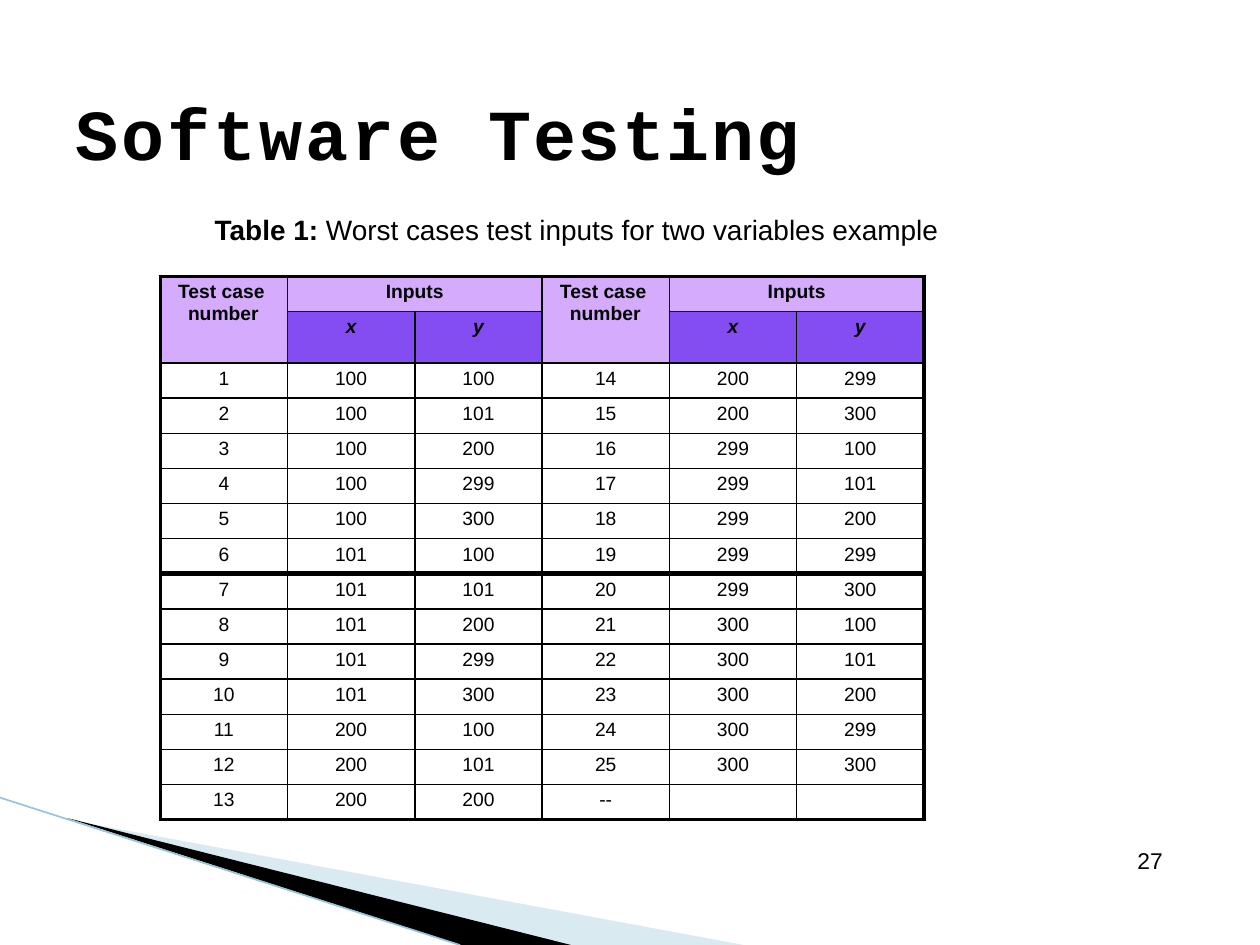
from itertools import product

from lxml.etree import SubElement
from pptx import Presentation
from pptx.dml.color import RGBColor
from pptx.enum.shapes import MSO_CONNECTOR as Connector
from pptx.enum.text import MSO_ANCHOR as Anchor, PP_ALIGN as Align
from pptx.oxml.ns import qn
from pptx.util import Cm, Pt

COLORS = {
    "ink": "000000",
    "header": "D5ACFD",
    "variable": "834DF1",
    "wedge": "A0CBDC",
    "edge": "97C5D8",
}
TITLE_FONT = {"name": "Courier New", "size": Pt(41), "bold": True}
CAPTION_FONT = {"name": "Arial", "size": Pt(16), "bold": False}
LABEL_FONT = {**CAPTION_FONT, "bold": True}
NUMBER_FONT = {"name": "Arial", "size": Pt(13)}
CELL_FONT = {"name": "Arial", "size": Pt(11), "bold": False}
HEADER_FONT = {**CELL_FONT, "bold": True}
VARIABLE_FONT = {**HEADER_FONT, "italic": True}

BOUNDARY_VALUES = (100, 101, 200, 299, 300)
CASES_PER_SIDE = 13
HEADER_ROWS = 2
SIDE_COLUMNS = 3
RULED_CASE = 6
THIN, OUTER, RULE = 1, 2.25, 3


def color(name):
    return RGBColor.from_string(COLORS[name])


def set_values(target, values):
    for name, value in values.items():
        setattr(target, name, value)


def add_span(para, text, font, spacing=0):
    """Add a run; spacing between letters is in points."""
    span = para.add_run()
    span.text = text
    set_values(span.font, font)
    span.font.color.rgb = color("ink")
    if spacing:
        span.font._element.set("spc", str(round(spacing * 100)))


def add_text(page, left, top, width, height, spans, frame_values=None):
    box = page.shapes.add_textbox(Cm(left), Cm(top), Cm(width), Cm(height))
    frame = box.text_frame
    values = {
        "word_wrap": True, "margin_left": Cm(0.03), "margin_right": 0,
        "margin_top": Cm(0.03), "margin_bottom": 0,
    }
    set_values(frame, {**values, **(frame_values or {})})
    para = frame.paragraphs[0]
    for span in spans:
        add_span(para, *span)
    return para


def reframe(shape, left, top, width, height):
    """Give a freeform another frame while its outline stays in place."""
    shift_x, shift_y = shape.left - left, shape.top - top
    set_values(shape, {"left": left, "top": top,
                       "width": width, "height": height})
    outline = next(shape._element.iter(qn("a:path")))
    outline.set("w", str(width))
    outline.set("h", str(height))
    for point in outline.iter(qn("a:pt")):
        point.set("x", str(int(point.get("x")) + shift_x))
        point.set("y", str(int(point.get("y")) + shift_y))


def add_wedge(page, corners, fill, opacity=100):
    points = [(Cm(x), Cm(y)) for x, y in corners]
    builder = page.shapes.build_freeform(*points[0])
    builder.add_line_segments(points[1:], close=True)
    wedge = builder.convert_to_shape()
    wedge.shadow.inherit = False
    wedge.fill.solid()
    wedge.fill.fore_color.rgb = color(fill)
    wedge.line.fill.background()
    if opacity < 100:
        tint = wedge._element.spPr.find(qn("a:solidFill"))[0]
        SubElement(tint, qn("a:alpha"), val=str(opacity * 1000))
    return wedge


def add_edge(page, start, end):
    edge = page.shapes.add_connector(
        Connector.STRAIGHT, *(Cm(value) for value in start + end))
    edge.line.color.rgb = color("edge")
    edge.line.width = Pt(0.95)
    SubElement(edge._element.spPr, qn("a:effectLst"))


def add_border(cell, side, width):
    line = SubElement(cell._tc.get_or_add_tcPr(), qn(f"a:ln{side}"),
                      w=str(Pt(width)))
    fill = SubElement(line, qn("a:solidFill"))
    SubElement(fill, qn("a:srgbClr"), val=COLORS["ink"])


def border_cell(grid, row, column):
    """Outline a cell, heavier at the table's edge and under the ruled case."""
    cell = grid.cell(row, column)
    last_row, last_column = row, column
    if cell.is_merge_origin:
        last_row += cell.span_height - 1
        last_column += cell.span_width - 1

    def row_line(index):
        if index in (0, len(grid.rows)):
            return OUTER
        return RULE if index == HEADER_ROWS + RULED_CASE else THIN

    def column_line(index):
        return OUTER if index in (0, len(grid.columns)) else THIN

    add_border(cell, "L", column_line(column))
    add_border(cell, "R", column_line(last_column + 1))
    add_border(cell, "T", row_line(row))
    add_border(cell, "B", row_line(last_row + 1))


def fill_cell(cell, text, font, fill=None):
    margins = {"margin_left": 0, "margin_right": 0,
               "margin_top": Cm(0.1), "margin_bottom": 0}
    set_values(cell, margins)
    if fill:
        cell.fill.solid()
        cell.fill.fore_color.rgb = color(fill)
    else:
        cell.fill.background()
    para = cell.text_frame.paragraphs[0]
    para.alignment = Align.CENTER
    if text:
        add_span(para, text, font)
    else:
        SubElement(para._p, qn("a:endParaRPr"), sz="1100")
    return para


def fill_header(grid, column):
    """Write the two header rows of one side of the table."""
    grid.cell(0, column).merge(grid.cell(1, column))
    grid.cell(0, column + 1).merge(grid.cell(0, column + 2))
    para = fill_cell(grid.cell(0, column), "Test case number",
                     HEADER_FONT, "header")
    para.alignment = Align.LEFT
    para.line_spacing = 1.01
    para._p.get_or_add_pPr().set("marL", str(Cm(0.56)))
    para._p.get_or_add_pPr().set("indent", str(Cm(-0.2)))
    fill_cell(grid.cell(0, column + 1), "Inputs", HEADER_FONT, "header")
    for offset, name in enumerate("xy", 1):
        fill_cell(grid.cell(1, column + offset), name,
                  VARIABLE_FONT, "variable")
    fill_cell(grid.cell(1, column), "", HEADER_FONT, "header")
    fill_cell(grid.cell(0, column + 2), "", HEADER_FONT, "header")


def add_case_table(page):
    cases = [(number, x, y) for number, (x, y) in
             enumerate(product(BOUNDARY_VALUES, repeat=2), 1)]
    cases.append(("--", "", ""))
    rows, columns = HEADER_ROWS + CASES_PER_SIDE, 2 * SIDE_COLUMNS
    width, height = 15.4, 10.63
    grid = page.shapes.add_table(rows, columns, Cm(3.23), Cm(5.57),
                                 Cm(width), Cm(height)).table
    set_values(grid, {"first_row": False, "horz_banding": False})
    for column in grid.columns:
        column.width = Cm(width / columns)
    for row in grid.rows:
        row.height = Cm(height / rows)
    grid.rows[1].height = Cm(1.02)

    for row, column in product(range(rows), range(columns)):
        grid.cell(row, column)._tc.get_or_add_tcPr()
    for column in (0, SIDE_COLUMNS):
        fill_header(grid, column)
    for index, case in enumerate(cases):
        side, row = divmod(index, CASES_PER_SIDE)
        for offset, value in enumerate(case):
            cell = grid.cell(HEADER_ROWS + row, side * SIDE_COLUMNS + offset)
            fill_cell(cell, str(value), CELL_FONT)
    for row, column in product(range(rows), range(columns)):
        border_cell(grid, row, column)
        properties = grid.cell(row, column)._tc.tcPr
        for kind in ("a:solidFill", "a:noFill"):
            for fill in properties.findall(qn(kind)):
                properties.append(fill)


def main():
    deck = Presentation()
    deck.slide_width, deck.slide_height = Cm(25.4), Cm(19.05)
    page = deck.slides.add_slide(deck.slide_layouts[6])

    light = add_wedge(page, [(1.4, 16.53), (14.99, 19.05), (11.48, 19.05)],
                      "wedge", 40)
    reframe(light, Cm(1.98), Cm(13.89), Cm(10.57), Cm(4.01))
    add_wedge(page, [(1.35, 16.49), (11.51, 19.05), (9.3, 19.05)], "ink")
    add_edge(page, (0, 16.08), (9.27, 19.05))

    add_text(page, 1.47, 1.75, 15.14, 1.78,
             [("Software", TITLE_FONT, 1.7), (" Testing", TITLE_FONT, 0.9)],
             {"vertical_anchor": Anchor.MIDDLE, "margin_left": Cm(0.05)})
    add_case_table(page)
    number = add_text(page, 22.83, 17.15, 0.69, 0.46, [("27", NUMBER_FONT)],
                      {"margin_left": Cm(0.1), "margin_top": 0})
    number.line_spacing = Pt(13.2)
    add_text(page, 4.3, 4.26, 15.06, 0.71,
             [("Table 1: ", LABEL_FONT),
              ("Worst cases test inputs for two variables example",
               CAPTION_FONT)])
    deck.save("out.pptx")


if __name__ == "__main__":
    main()
